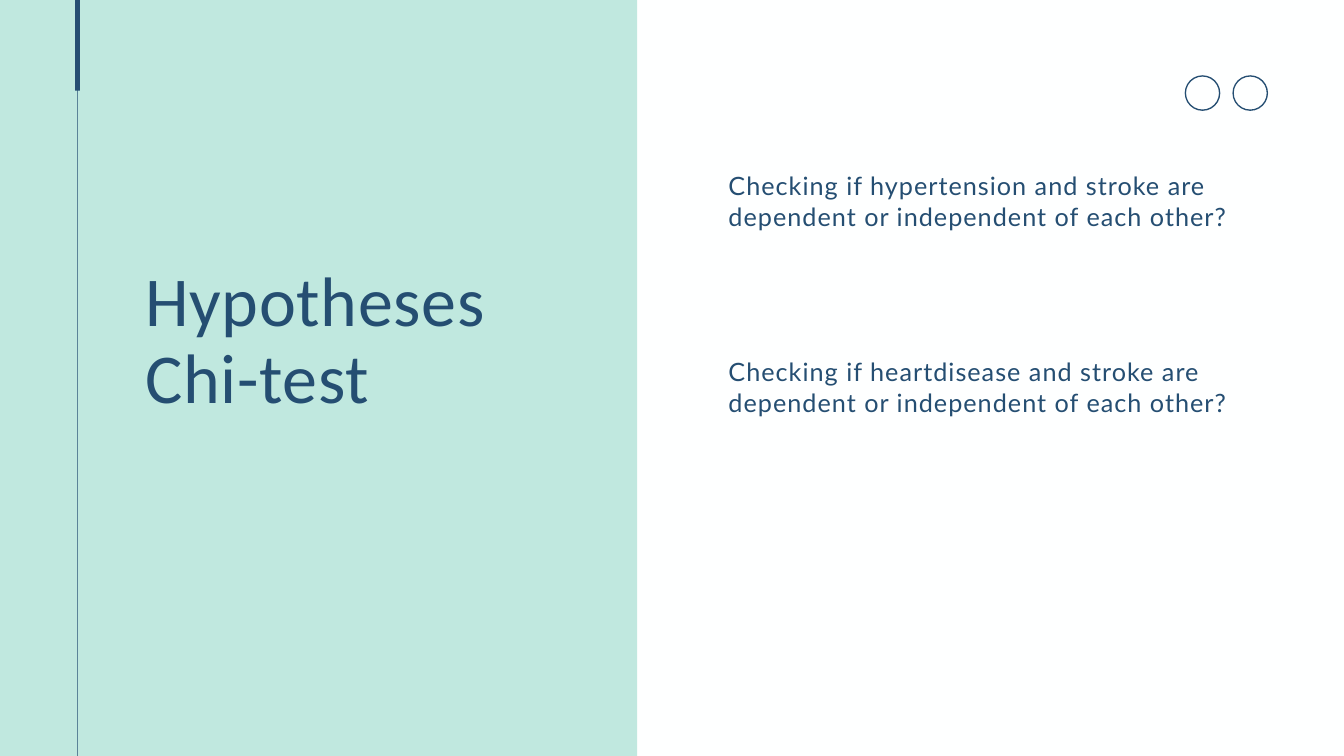
from pptx import Presentation
from pptx.dml.color import RGBColor
from pptx.enum.shapes import MSO_SHAPE
from pptx.enum.text import MSO_AUTO_SIZE
from pptx.util import Inches, Pt

RECTANGLE = MSO_SHAPE.RECTANGLE
DONUT = MSO_SHAPE.DONUT
FIT_SHAPE = MSO_AUTO_SIZE.SHAPE_TO_FIT_TEXT

NAVY = RGBColor(0x25, 0x4E, 0x72)
MINT = RGBColor(0xC0, 0xE8, 0xDF)
OFF_WHITE = RGBColor(0xFE, 0xFF, 0xFF)

QUESTION = "Checking if {} and stroke are dependent or independent of each other?"


def write_text(text_frame, text, font, size, line_height, tracking, color):
    for index, line in enumerate(text.split("\n")):
        paragraph = text_frame.add_paragraph() if index else text_frame.paragraphs[0]
        paragraph.line_spacing = Pt(line_height)
        run = paragraph.add_run()
        run.text = line
        run.font.name = font
        run.font.size = Pt(size)
        run.font.color.rgb = color
        run.font._element.set("spc", str(round(tracking * 100)))


class SlideBuilder:
    ink = NAVY

    def __init__(self, slide):
        self.slide = slide

    def background(self, color):
        fill = self.slide.background.fill
        fill.solid()
        fill.fore_color.rgb = color

    def filled_shape(self, kind, left, top, width, height, color):
        shape = self.slide.shapes.add_shape(
            kind, Inches(left), Inches(top), Inches(width), Inches(height)
        )
        shape.shadow.inherit = False
        shape.fill.solid()
        shape.fill.fore_color.rgb = color
        shape.line.fill.background()
        return shape

    def bar(self, left, top, width, height, color=ink):
        return self.filled_shape(RECTANGLE, left, top, width, height, color)

    def ring(self, left, top, diameter, thickness):
        ring = self.filled_shape(DONUT, left, top, diameter, diameter, self.ink)
        ring.adjustments[0] = thickness / diameter
        return ring

    def text(self, left, top, width, height, text, **text_format):
        box = self.slide.shapes.add_textbox(
            Inches(left), Inches(top), Inches(width), Inches(height)
        )
        frame = box.text_frame
        frame.word_wrap = True
        frame.auto_size = FIT_SHAPE
        frame.margin_left = frame.margin_right = 0
        frame.margin_top = frame.margin_bottom = 0
        write_text(frame, text, color=self.ink, **text_format)
        return box


def main():
    presentation = Presentation()
    presentation.slide_width = Inches(20)
    presentation.slide_height = Inches(11.25)
    slide = presentation.slides.add_slide(presentation.slide_layouts[6])
    builder = SlideBuilder(slide)

    builder.background(OFF_WHITE)
    builder.bar(0, 0, 9.48, 11.25, MINT)
    builder.bar(1.15, 1.12, 0.01, 10.13)
    builder.bar(1.12, 0, 0.07, 1.35)

    for top, condition in ((2.54, "hypertension"), (5.31, "heartdisease")):
        builder.text(
            10.84, top, 7.91, 0.9, QUESTION.format(condition),
            font="Lato", size=27, line_height=32.4, tracking=1.1,
        )
    builder.text(
        2.16, 3.92, 6.16, 2.33, "Hypotheses\nChi-test",
        font="Calibri", size=75, line_height=82.5, tracking=0.8,
    )

    for left in (18.34, 17.63):
        builder.ring(left, 1.12, diameter=0.53, thickness=0.02)

    presentation.save("out.pptx")


if __name__ == "__main__":
    main()
